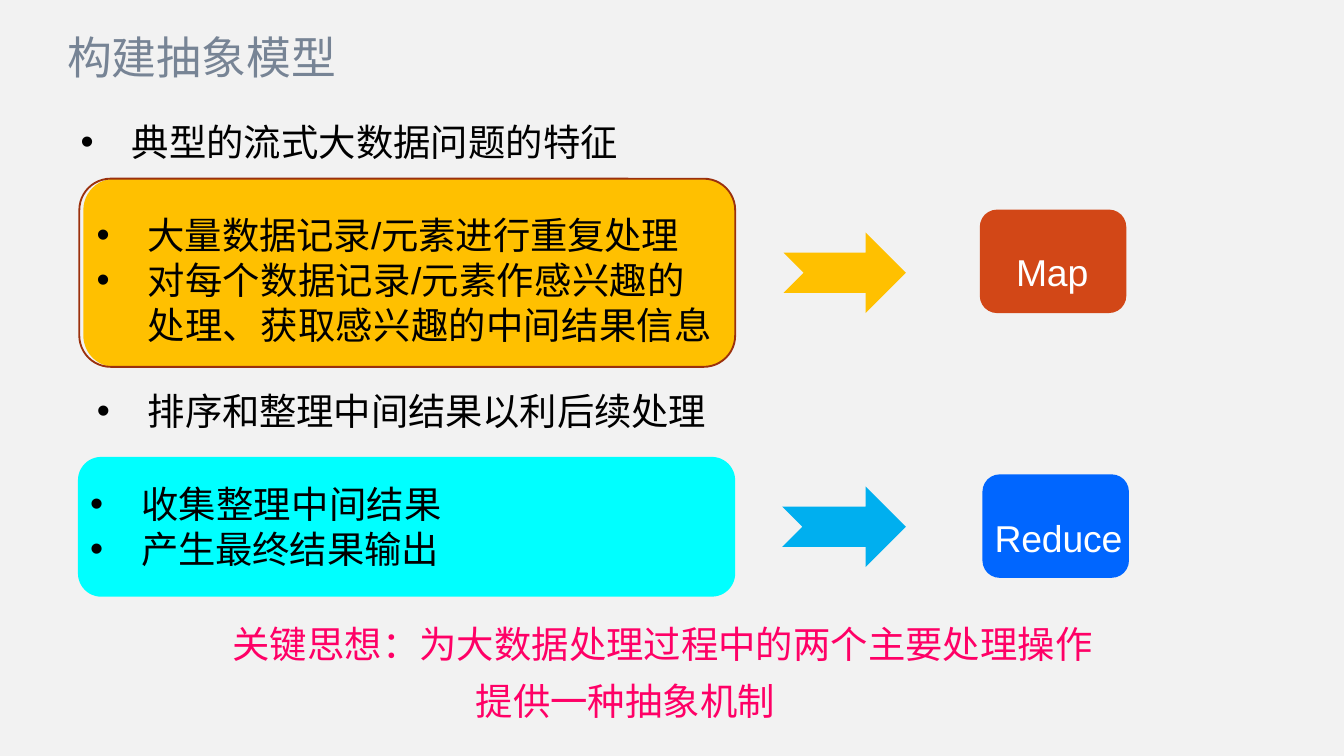
import pptx
import pptx.util
import pptx.dml.color
import pptx.enum.shapes
import pptx.enum.text
import pptx.oxml.ns
from lxml import etree

Inches, Pt = pptx.util.Inches, pptx.util.Pt
PRESET = pptx.enum.shapes.MSO_SHAPE
ANCHOR = pptx.enum.text.MSO_ANCHOR

COLORS = {
    "background": "F2F2F2", "title": "778495", "text": "000000",
    "white": "FFFFFF", "amber": "FFC000", "outline": "9B310D",
    "cyan": "00FFFF", "sky": "00AFEF", "map": "D24717",
    "reduce": "0066FF", "idea": "FF0066",
}
LATIN, EAST_ASIAN = "Arial", "Noto Sans CJK SC"


def rgb(color):
    return pptx.dml.color.RGBColor.from_string(COLORS[color])


class SlideBuilder:
    """Holds the slide and the way its elements are styled."""

    def __init__(self, prs):
        self.slide = prs.slides.add_slide(prs.slide_layouts[1])
        fill = self.slide.background.fill
        fill.solid()
        fill.fore_color.rgb = rgb("background")

    def frame(self, shape, box, insets=(0, 0), anchor=ANCHOR.TOP):
        """Place a text holder and set its frame; insets are (side, top/bottom)."""
        shape.left, shape.top, shape.width, shape.height = map(Inches, box)
        frame = shape.text_frame
        frame.word_wrap = True
        frame.auto_size = pptx.enum.text.MSO_AUTO_SIZE.NONE
        frame.vertical_anchor = anchor
        frame.margin_left = frame.margin_right = Inches(insets[0])
        frame.margin_top = frame.margin_bottom = Inches(insets[1])
        return frame

    def paragraph(self, paragraph, runs, color="text", size=20, font=LATIN,
                  margin=0.0, hanging=0.0, line=None):
        """Fill a paragraph with (text, letter spacing in points) runs."""
        props = paragraph._p.get_or_add_pPr()
        props.set("marL", str(Inches(margin)))
        props.set("indent", str(-Inches(hanging)))
        if hanging:
            for tag, key, value in (("a:buFont", "typeface", LATIN),
                                    ("a:buChar", "char", "•")):
                etree.SubElement(props, pptx.oxml.ns.qn(tag)).set(key, value)
        if line:
            paragraph.line_spacing = Pt(line)
        paragraph.alignment = pptx.enum.text.PP_ALIGN.LEFT
        for text, spacing in runs:
            run = paragraph.add_run()
            run.text = text
            run.font.size = Pt(size)
            run.font.name = font
            run.font.color.rgb = rgb(color)
            run_props = run._r.get_or_add_rPr()
            run_props.set("spc", str(round(spacing * 100)))
            east_asian = etree.SubElement(run_props, pptx.oxml.ns.qn("a:ea"))
            east_asian.set("typeface", EAST_ASIAN)

    def title(self, text, box):
        frame = self.frame(self.slide.shapes.title, box, (0, 0.05), ANCHOR.MIDDLE)
        self.paragraph(frame.paragraphs[0], [(text, 0)], "title", 24, EAST_ASIAN)

    def body(self, text, box):
        frame = self.frame(self.slide.placeholders[1], box, (0.1, 0.05))
        self.paragraph(frame.paragraphs[0], [(text, 0)], margin=0.38, hanging=0.38)

    def text(self, box, paragraphs):
        """Add a text box; each paragraph is (runs, formatting)."""
        frame = self.frame(self.slide.shapes.add_textbox(0, 0, 0, 0), box)
        for index, (runs, style) in enumerate(paragraphs):
            target = frame.add_paragraph() if index else frame.paragraphs[0]
            self.paragraph(target, runs, **style)

    def bullets(self, box, items):
        style = {"margin": 0.39, "hanging": 0.38}
        self.text(box, [([item], style) for item in items])

    def label(self, box, text):
        self.text(box, [([(text, -0.1)],
                         {"color": "white", "margin": 0.01, "line": 33})])

    def shape(self, preset, box, fill=None, line=None):
        shape = self.slide.shapes.add_shape(preset, *map(Inches, box))
        shape.shadow.inherit = False
        if fill:
            shape.fill.solid()
            shape.fill.fore_color.rgb = rgb(fill)
        else:
            shape.fill.background()
        if line:
            shape.line.color.rgb = rgb(line)
            shape.line.width = Pt(1)
        else:
            shape.line.fill.background()


def main():
    prs = pptx.Presentation()
    prs.slide_width = Inches(10)
    prs.slide_height = Inches(10 * 9 / 16)
    page = SlideBuilder(prs)
    rounded, arrow = PRESET.ROUNDED_RECTANGLE, PRESET.NOTCHED_RIGHT_ARROW

    page.body("典型的流式大数据问题的特征", (0.5, 0.84, 9, 4.09))
    page.title("构建抽象模型", (0.5, 0.21, 3.32, 0.42))

    page.shape(rounded, (0.58, 3.4, 4.89, 1.04), "cyan")
    page.bullets((0.71, 2.89, 5.22, 0.35), [("排序和整理中间结果以利后续处理", -0.1)])

    page.shape(rounded, (7.29, 1.56, 1.09, 0.77), "map")
    page.shape(arrow, (5.83, 1.73, 0.91, 0.6), "amber")
    page.shape(rounded, (7.31, 3.53, 1.09, 0.77), "reduce")
    page.shape(arrow, (5.82, 3.62, 0.92, 0.6), "sky")

    page.shape(rounded, (0.62, 1.33, 4.85, 1.4), "amber")
    page.bullets((0.71, 1.58, 4.6, 1.01), [
        ("大量数据记录/元素进行重复处理", -0.1),
        ("对每个数据记录/元素作感兴趣的 处理、获取感兴趣的中间结果信息", 0.1),
    ])
    page.shape(rounded, (0.59, 1.33, 4.88, 1.4), line="outline")

    page.label((7.55, 1.73, 0.61, 0.41), "Map")
    page.label((7.39, 3.71, 1.02, 0.46), "Reduce")
    page.bullets((0.66, 3.58, 2.99, 0.67), [
        ("收集整理中间结果", 0.1),
        ("产生最终结果输出", -0.1),
    ])

    page.text((1.72, 4.62, 6.55, 0.77), [
        ([("关键思想：为大数据处理过程中的两个主要处理操作", 0)],
         {"color": "idea", "margin": 0.01}),
        ([("提供一种抽象机制", 0)],
         {"color": "idea", "margin": 1.82, "line": 30.6}),
    ])
    prs.save("out.pptx")


if __name__ == "__main__":
    main()
